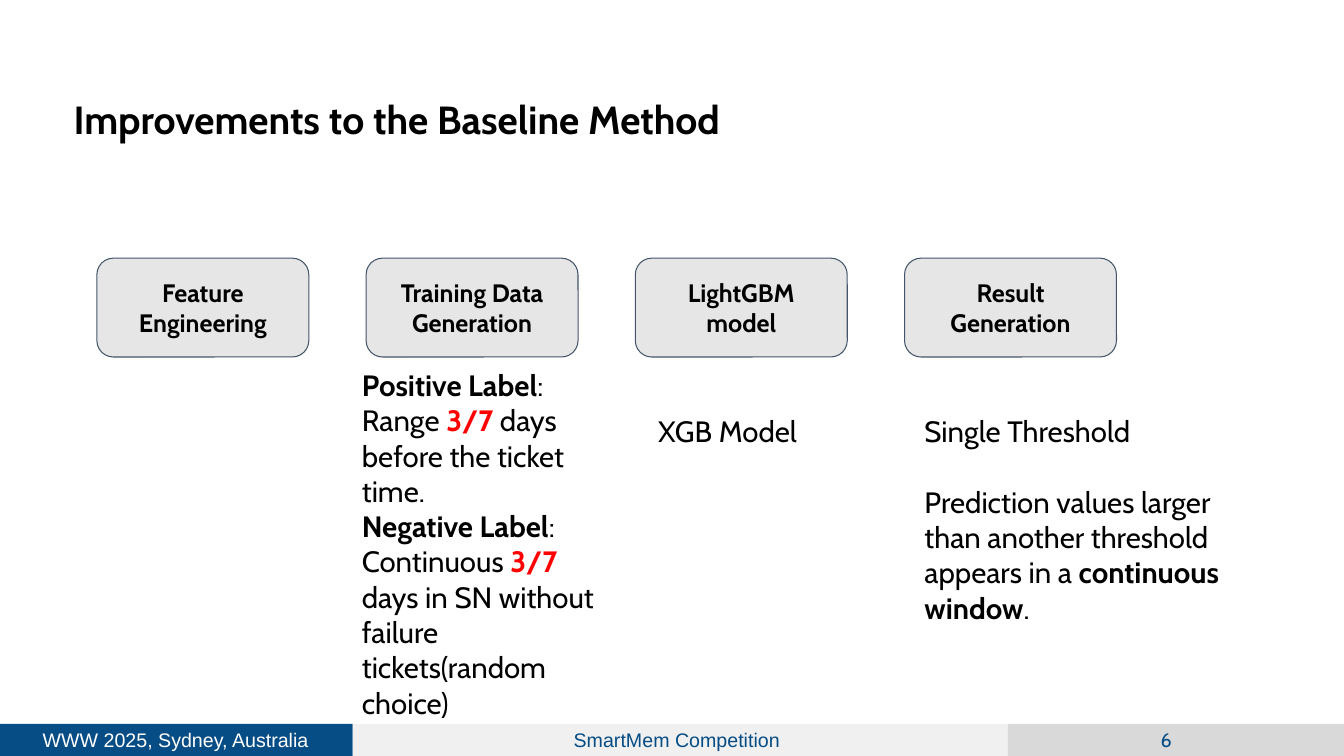
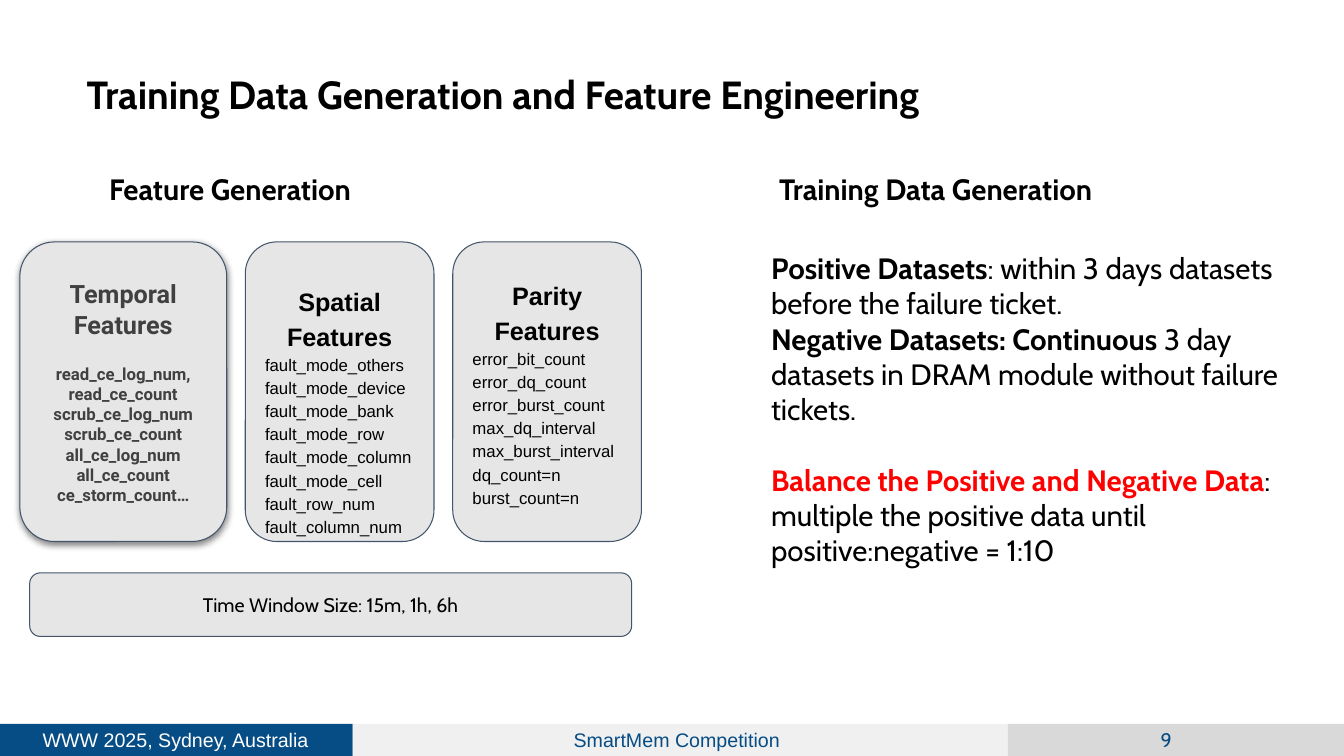
from lxml import etree
from pptx import Presentation
from pptx.dml.color import RGBColor
from pptx.enum.shapes import MSO_SHAPE
from pptx.enum.text import MSO_ANCHOR, MSO_AUTO_SIZE, PP_ALIGN
from pptx.oxml.ns import qn
from pptx.util import Pt

RECTANGLE = MSO_SHAPE.RECTANGLE
ROUNDED = MSO_SHAPE.ROUNDED_RECTANGLE
TOP, MIDDLE = MSO_ANCHOR.TOP, MSO_ANCHOR.MIDDLE
LEFT, CENTER = PP_ALIGN.LEFT, PP_ALIGN.CENTER
NO_AUTOFIT = MSO_AUTO_SIZE.NONE

BLACK = RGBColor(0x00, 0x00, 0x00)
WHITE = RGBColor(0xFF, 0xFF, 0xFF)
RED = RGBColor(0xFF, 0x00, 0x00)
NAVY = RGBColor(0x06, 0x4C, 0x85)
PALE = RGBColor(0xF0, 0xF0, 0xF0)
SILVER = RGBColor(0xD9, 0xD9, 0xD9)
CARD = RGBColor(0xE7, 0xE6, 0xE6)
SLATE = RGBColor(0x44, 0x54, 0x6A)
CHARCOAL = RGBColor(0x40, 0x40, 0x40)

FOOTER_TOP, FOOTER_HEIGHT = 517, 23


def write(shape, paragraphs, font="Cabin", size=21, color=BLACK, bold=False, align=LEFT,
          anchor=TOP, insets=(7.2, 7.2, 7.2, 7.2), spacing=1.0, gaps=None, heading=None):
    frame = shape.text_frame
    frame.word_wrap = True
    frame.auto_size = NO_AUTOFIT
    frame.vertical_anchor = anchor
    frame.margin_left, frame.margin_top, frame.margin_right, frame.margin_bottom = map(Pt, insets)
    for index, runs in enumerate(paragraphs):
        paragraph = frame.paragraphs[0] if index == 0 else frame.add_paragraph()
        if shape.is_placeholder:
            properties = paragraph._p.get_or_add_pPr()
            properties.set("marL", "0")
            properties.set("indent", "0")
            etree.SubElement(properties, qn("a:buNone"))
        is_heading = heading is not None and index == 0
        paragraph.alignment = CENTER if is_heading else align
        paragraph.line_spacing = spacing
        paragraph.space_before = Pt((gaps or {}).get(index, 0))
        for part in [(runs,)] if isinstance(runs, str) else runs:
            run = paragraph.add_run()
            run.text = part[0]
            run.font.name = font
            run.font.size = Pt(heading if is_heading else size)
            run.font.bold = is_heading or (part[1] if len(part) > 1 else bold)
            run.font.color.rgb = part[2] if len(part) > 2 else color


def add_box(slide, left, top, width, height, kind=None, fill=CARD, line=None):
    box = (Pt(left), Pt(top), Pt(width), Pt(height))
    if kind is None:
        return slide.shapes.add_textbox(*box)
    shape = slide.shapes.add_shape(kind, *box)
    shape.shadow.inherit = False
    shape.fill.solid()
    shape.fill.fore_color.rgb = fill
    if line is None:
        shape.line.fill.background()
    else:
        shape.line.color.rgb = line
        shape.line.width = Pt(0.75)
    return shape


presentation = Presentation()
presentation.slide_width, presentation.slide_height = Pt(960), Pt(540)
layout = presentation.slide_layouts[1]

pages = [
    ("Improvements to the Baseline Method", (45.4, 61.2, 868, 46), "6", (251.3, 255, 191.5, 264)),
    ("Training Data Generation and Feature Engineering", (54.7, 43.2, 830, 46), "9",
     (543.6, 171.4, 398, 264)),
]
slides = []
for title, title_box, number, body_box in pages:
    slide = presentation.slides.add_slide(layout)
    for placeholder, box in zip(slide.placeholders, (title_box, body_box)):
        placeholder.left, placeholder.top, placeholder.width, placeholder.height = map(Pt, box)
    write(slide.shapes.title, [title], size=28, bold=True)
    page_number = add_box(slide, 818, FOOTER_TOP, 30, FOOTER_HEIGHT)
    write(page_number, [number], size=14, color=NAVY, align=CENTER, anchor=MIDDLE,
          insets=(0, 0, 0, 0))
    slides.append(slide)
overview, details = slides

bands = [
    (0, 252, NAVY, "WWW 2025, Sydney, Australia", WHITE, 1),
    (252, 468, PALE, "SmartMem Competition", NAVY, 5),
    (720, 240, SILVER, "", NAVY, 0),
]
for shape_id, (left, width, fill, text, color, right) in enumerate(bands, start=20):
    band = add_box(overview, left, FOOTER_TOP, width, FOOTER_HEIGHT, RECTANGLE, fill)
    if text:
        write(band, [text], font="Arial", size=14, color=color, align=CENTER, anchor=MIDDLE,
              insets=(0, 0, right, 0))
    band.element.nvSpPr.cNvPr.set("id", str(shape_id))
    layout.shapes.element.append(band.element)

steps = ["Feature Engineering", "Training Data Generation", "LightGBM model", "Result Generation"]
for index, step in enumerate(steps):
    card = add_box(overview, 69.2 + index * 192.3, 184.4, 151.4, 70.6, ROUNDED, line=SLATE)
    write(card, [step], size=18, bold=True, align=CENTER, anchor=MIDDLE, insets=(10, 0, 10, 0))

write(overview.placeholders[1], [
    [("Positive Label", True), (":",)],
    [("Range ",), ("3/7", True, RED), (" days before the ticket time.",)],
    [("Negative Label", True), (":",)],
    [("Continuous ",), ("3/7", True, RED),
     (" days in SN without failure tickets(random choice)",)],
])
write(add_box(overview, 463, 288, 151, 40), ["XGB Model"])
write(add_box(overview, 653.3, 288, 260.5, 164), [
    "Single Threshold",
    [("Prediction values larger than another threshold appears in a ",),
     ("continuous window", True), (".",)],
], gaps={1: 25.2})

for left, heading in [(70.8, "Feature Generation"), (549.4, "Training Data Generation")]:
    write(add_box(details, left, 115.2, 330, 40), [heading], bold=True)

write(details.placeholders[1], [
    [("Positive Datasets", True), (": within 3 days datasets before the failure ticket.",)],
    [("Negative Datasets: Continuous", True),
     (" 3 day datasets in DRAM module without failure tickets.",)],
    [("Balance the Positive and Negative Data", True, RED), (":",)],
    "multiple the positive data until",
    "positive:negative = 1:10",
], gaps={2: 25.2})

features = [
    (14.2, 147.8, ["Temporal Features", "read_ce_log_num, read_ce_count", "scrub_ce_log_num",
                   "scrub_ce_count", "all_ce_log_num", "all_ce_count", "ce_storm_count…"],
     dict(font="Roboto", color=CHARCOAL, bold=True, align=CENTER, anchor=MIDDLE,
          gaps={1: 17.6}, insets=(7.5, 0, 7.5, 0))),
    (175.2, 134.8, ["Spatial Features", "fault_mode_others", "fault_mode_device",
                    "fault_mode_bank", "fault_mode_row", "fault_mode_column",
                    "fault_mode_cell", "fault_row_num", "fault_column_num"],
     dict(font="Arial", spacing=1.15, insets=(7.5, 22, 7.5, 0))),
    (323.4, 134.8, ["Parity Features", "error_bit_count", "error_dq_count",
                    "error_burst_count", "max_dq_interval", "max_burst_interval",
                    "dq_count=n", "burst_count=n"],
     dict(font="Arial", spacing=1.15, anchor=MIDDLE, insets=(7.5, 0, 7.5, 0))),
]
feature_cards = []
for left, width, lines, style in features:
    card = add_box(details, left, 172.8, width, 214, ROUNDED, line=SLATE)
    write(card, lines, size=12, heading=18, **style)
    feature_cards.append(card)

effects = feature_cards[0].element.spPr.find(qn("a:effectLst"))
shadow = etree.SubElement(effects, qn("a:outerShdw"), blurRad=str(Pt(5)), dist=str(Pt(1.5)),
                          dir="5400000", algn="ctr", rotWithShape="0")
shadow_color = etree.SubElement(shadow, qn("a:srgbClr"), val=str(BLACK))
etree.SubElement(shadow_color, qn("a:alpha"), val="50000")

window_bar = add_box(details, 21.2, 409.2, 430, 45.4, ROUNDED, line=SLATE)
write(window_bar, ["Time Window Size: 15m, 1h, 6h"], size=14, align=CENTER, anchor=MIDDLE)

presentation.save("out.pptx")
